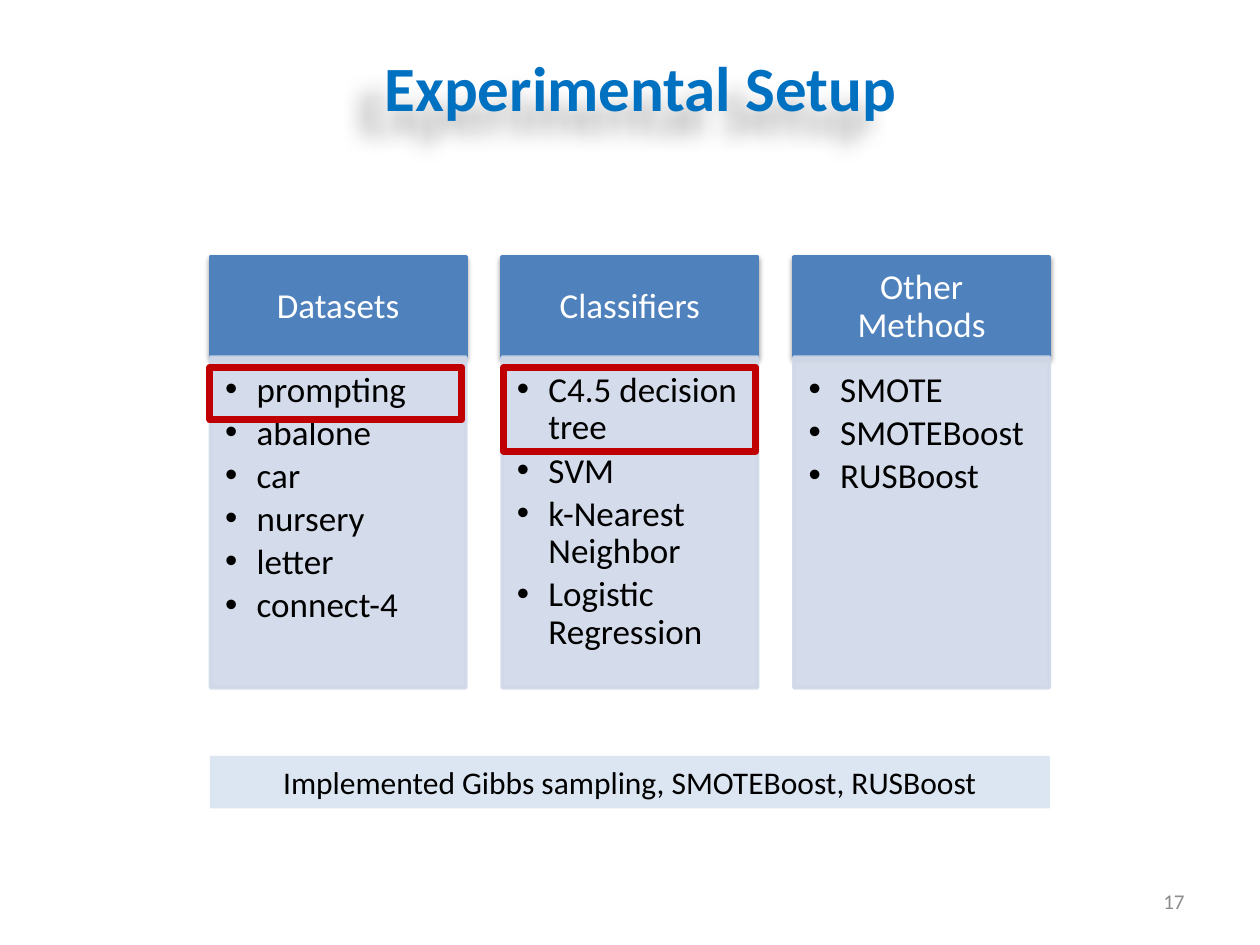
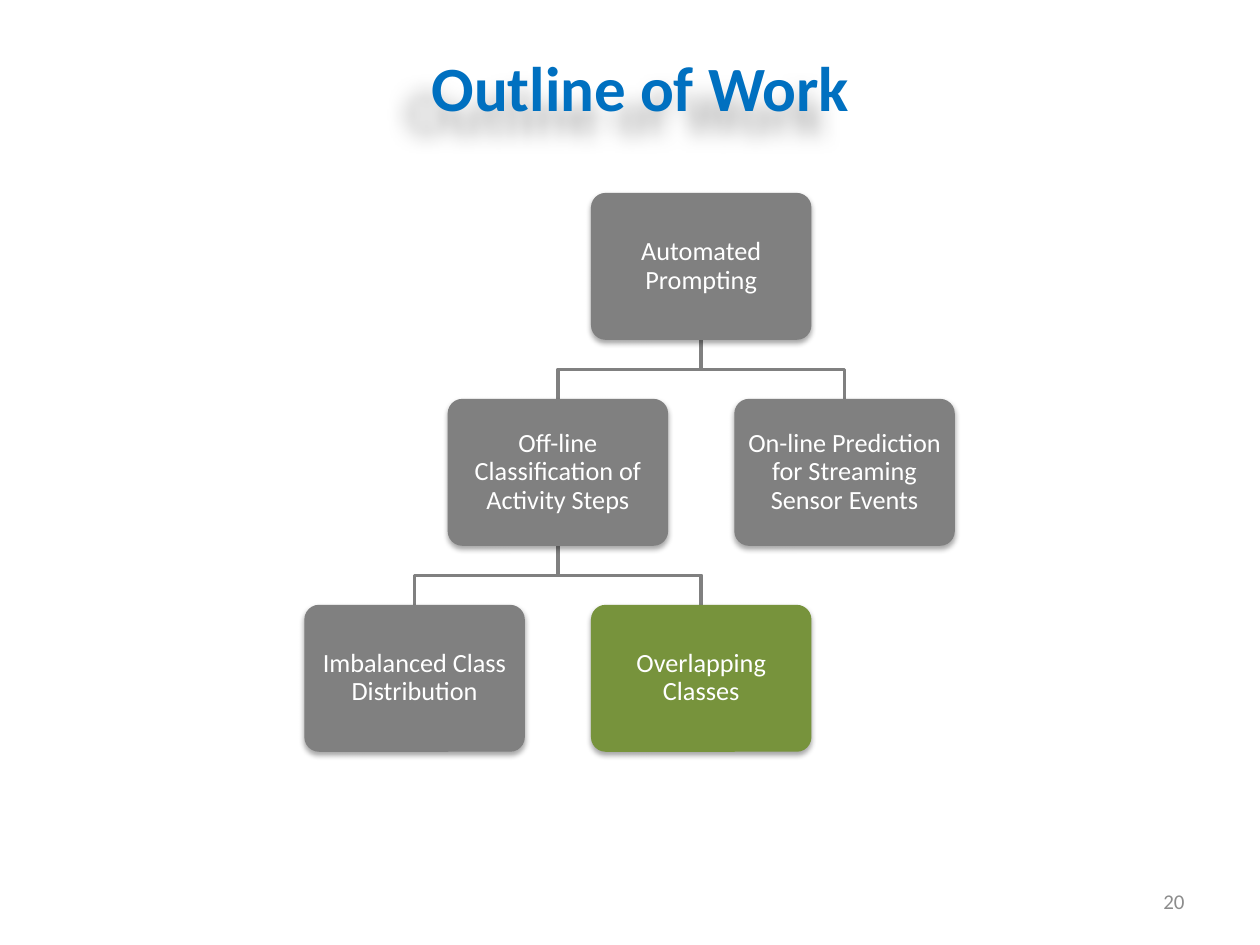
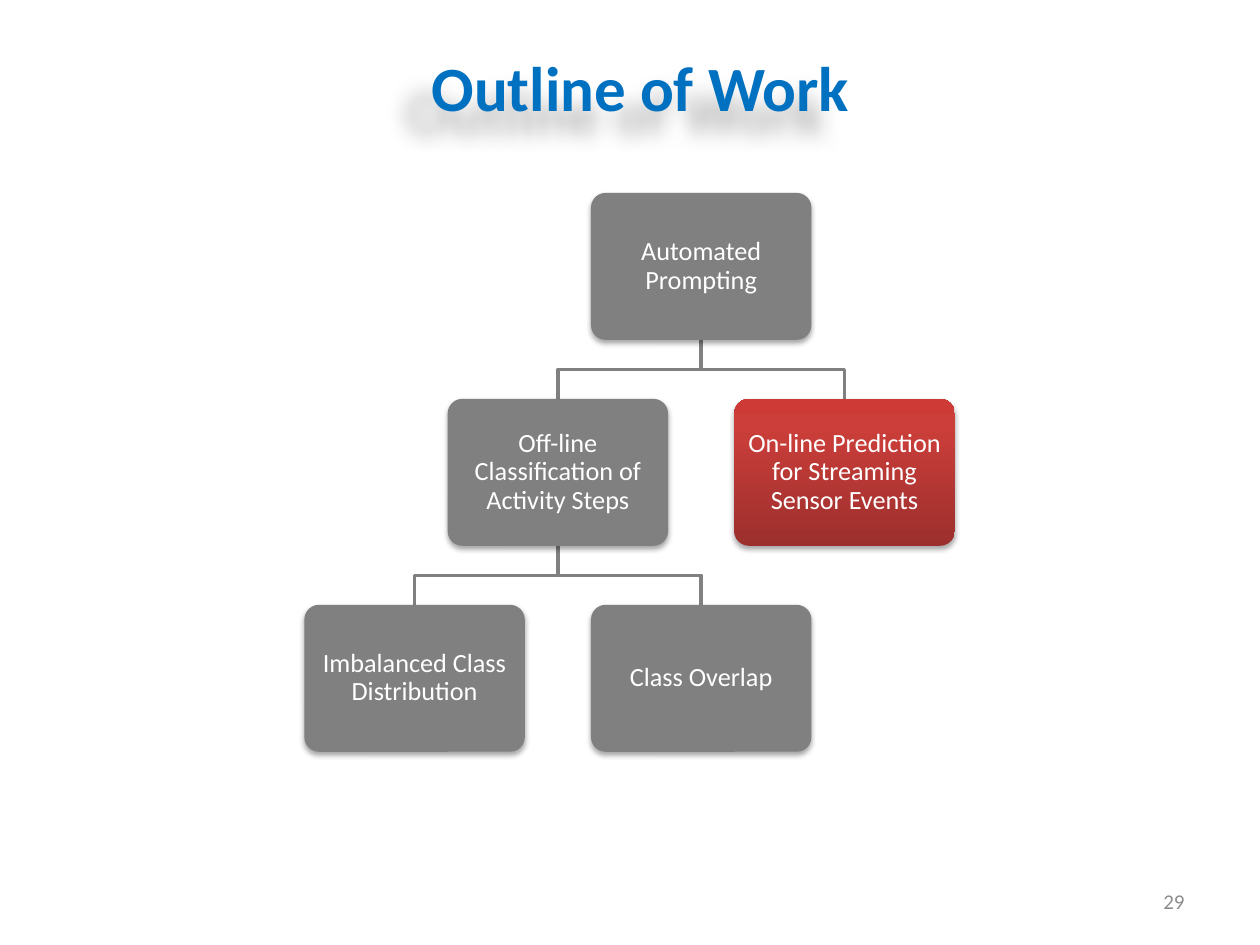
"""Build three slides on an experimental setup and an outline of work."""
import copy

import lxml.etree
import pptx
import pptx.dml.color
import pptx.enum.shapes
import pptx.enum.text
import pptx.oxml.ns
import pptx.util

Pt = pptx.util.Pt
RGB = pptx.dml.color.RGBColor
KIND = pptx.enum.shapes.MSO_SHAPE
ALIGN = pptx.enum.text.PP_ALIGN
ANCHOR = pptx.enum.text.MSO_ANCHOR
qn = pptx.oxml.ns.qn

WHITE = RGB(0xFF, 0xFF, 0xFF)
BLACK = RGB(0x00, 0x00, 0x00)
AZURE = RGB(0x00, 0x70, 0xC0)
BLUE = RGB(0x4F, 0x81, 0xBD)
PALE = RGB(0xD0, 0xD8, 0xE8)
ICE = RGB(0xDC, 0xE6, 0xF2)
RED = RGB(0xC0, 0x00, 0x00)
GRAY = RGB(0x80, 0x80, 0x80)
SILVER = RGB(0x8C, 0x8C, 0x8C)
GREEN = RGB(0x77, 0x93, 0x3C)
GLOW = [(0, RGB(0x9C, 0x2F, 0x2D)), (0.8, RGB(0xCB, 0x3E, 0x3A)), (1, RGB(0xCE, 0x3B, 0x37))]

FONT = "Calibri"
TITLE_ONLY, COMPARE = 5, 4
SIDES = ("margin_left", "margin_top", "margin_right", "margin_bottom")
PLAIN = (7.2, 3.6, 7.2, 3.6)
NODE_W, NODE_H = 126, 84
LEFT, TOP = 236.9, 110.2
STEP, DROP = 81.9, 117.7


def put(thing, values):
    for name, value in values.items():
        setattr(thing, name, value)


def place(shape, area):
    put(shape, dict(zip(("left", "top", "width", "height"), map(Pt, area))))


class Deck:
    def __init__(self):
        self.show = pptx.Presentation()
        put(self.show, {"slide_width": Pt(720), "slide_height": Pt(540)})

    def start(self, title, number, layout=TITLE_ONLY):
        self.slide = self.show.slides.add_slide(self.show.slide_layouts[layout])
        self.shapes = self.slide.shapes
        self.bodies = [b for b in self.slide.placeholders if b != self.shapes.title]
        head = self.shapes.title
        place(head, (132, 24, 468, 51))
        self.label(head, [title], 36, AZURE, anchor=ANCHOR.TOP, bold=True)
        self.shade(head, 30, 12, 20, 140)
        page = self.shapes.add_textbox(Pt(516), Pt(500.4), Pt(168), Pt(28.8))
        self.label(page, [number], 12, SILVER, align=ALIGN.RIGHT)

    def label(self, shape, lines, size, color, align=ALIGN.CENTER,
              anchor=ANCHOR.MIDDLE, inset=PLAIN, space=1.0, after=0, bold=False, dots=False):
        frame = shape.text_frame
        put(frame, {"word_wrap": True, "auto_size": pptx.enum.text.MSO_AUTO_SIZE.NONE,
                    "vertical_anchor": anchor, **dict(zip(SIDES, map(Pt, inset)))})
        frame.text = "\n".join(lines)
        for para in frame.paragraphs:
            if dots:
                self.dot(para)
            put(para, {"alignment": align, "line_spacing": space,
                       "space_before": Pt(0), "space_after": Pt(after)})
            for run in para.runs:
                put(run.font, {"name": FONT, "size": Pt(size), "bold": bold})
                run.font.color.rgb = color

    def dot(self, para):
        props = para._p.get_or_add_pPr()
        props.set("marL", str(Pt(18)))
        props.set("indent", str(-Pt(18)))
        lxml.etree.SubElement(props, qn("a:buFont"), typeface="Arial")
        lxml.etree.SubElement(props, qn("a:buChar"), char="•")

    def shade(self, shape, alpha, blur, dist, angle):
        shape.shadow.inherit = False
        effects = shape.element.spPr.find(qn("a:effectLst"))
        outer = lxml.etree.SubElement(
            effects, qn("a:outerShdw"), blurRad=str(Pt(blur)), dist=str(Pt(dist)),
            dir=str(angle * 60000), algn="ctr", rotWithShape="0")
        color = lxml.etree.SubElement(outer, qn("a:srgbClr"), val=str(BLACK))
        lxml.etree.SubElement(color, qn("a:alpha"), val=str(alpha * 1000))

    def paint(self, shape, fill=None, line=None, width=2):
        shape.shadow.inherit = False
        if fill is None:
            shape.fill.background()
        else:
            shape.fill.solid()
            shape.fill.fore_color.rgb = fill
        if line is None:
            shape.line.fill.background()
        else:
            shape.line.color.rgb = line
            shape.line.width = Pt(width)

    def box(self, area, kind=KIND.RECTANGLE, **look):
        shape = self.shapes.add_shape(kind, *map(Pt, area))
        self.paint(shape, **look)
        return shape

    def blend(self, shape, stops):
        shape.fill.gradient()
        shape.fill.gradient_angle = 90
        group = shape.element.spPr.find(".//" + qn("a:gsLst"))
        while len(group) < len(stops):
            group.append(copy.deepcopy(group[0]))
        for stop, (where, color) in zip(shape.fill.gradient_stops, stops):
            stop.position = where
            stop.color.rgb = color

    def column(self, left, head, items):
        top = self.box((left, 147, 146, 57), fill=BLUE, line=BLUE)
        self.shade(top, 38, 3.1, 1.6, 90)
        self.label(top, [head], 20, WHITE, inset=(11.5, 6.5, 11.5, 6.5), space=0.9)
        body = self.bodies.pop(0)
        self.shapes.element.append(body.element)
        place(body, (left, 204, 146, 189))
        self.paint(body, fill=PALE, line=PALE)
        for color in body.element.spPr.iter(qn("a:srgbClr")):
            lxml.etree.SubElement(color, qn("a:alpha"), val="90000")
        self.label(body, items, 20, BLACK, align=ALIGN.LEFT, anchor=ANCHOR.TOP,
                   inset=(8.5, 8.5, 11.5, 12), space=0.9, after=3, dots=True)

    def clear(self):
        for body in self.bodies:
            self.shapes.element.remove(body.element)

    def link(self, upper, lower):
        (col, row), (goal, base) = upper, lower
        start, end = LEFT + STEP * col, LEFT + STEP * goal
        high, low = TOP + DROP * row + NODE_H, TOP + DROP * base
        mid = (high + low) / 2
        pen = self.shapes.build_freeform(Pt(start), Pt(high))
        points = [(start, mid), (end, mid), (end, low)]
        pen.add_line_segments([(Pt(x), Pt(y)) for x, y in points], close=False)
        self.paint(pen.convert_to_shape(), line=GRAY)

    def node(self, spot, text, fill):
        col, row = spot
        area = (LEFT + STEP * col - NODE_W / 2, TOP + DROP * row, NODE_W, NODE_H)
        shape = self.box(area, KIND.ROUNDED_RECTANGLE, fill=GRAY)
        shape.adjustments[0] = 0.1
        if isinstance(fill, list):
            self.blend(shape, fill)
        else:
            shape.fill.fore_color.rgb = fill
        self.shade(shape, 35, 3.1, 1.8, 90)
        self.label(shape, [text], 15, WHITE, inset=(4.3,) * 4, space=0.9)

    def tree(self, overlap, hot, glow):
        root, offline, online, classes, other = (2, 0), (1, 1), (3, 1), (0, 2), (2, 2)
        for upper, lower in ((root, offline), (root, online), (offline, classes), (offline, other)):
            self.link(upper, lower)
        names = {
            root: "Automated Prompting",
            offline: "Off-line Classification of Activity Steps",
            online: "On-line Prediction for Streaming Sensor Events",
            classes: "Imbalanced Class Distribution",
            other: overlap,
        }
        for spot, text in names.items():
            self.node(spot, text, glow if spot == hot else GRAY)


def main():
    deck = Deck()
    deck.start("Experimental Setup", "17", COMPARE)
    columns = {
        "Datasets": ["prompting", "abalone", "car", "nursery", "letter", "connect-4"],
        "Classifiers": ["C4.5 decision tree", "SVM", "k-Nearest Neighbor", "Logistic Regression"],
        "Other Methods": ["SMOTE", "SMOTEBoost", "RUSBoost"],
    }
    for i, (head, items) in enumerate(columns.items()):
        deck.column(120.2 + 166.7 * i, head, items)
    deck.clear()
    for left, height in ((120, 30), (288, 48)):
        deck.box((left, 210, 144, height), line=RED, width=4)
    banner = deck.box((120, 432, 480, 30), fill=ICE)
    deck.label(banner, ["Implemented Gibbs sampling, SMOTEBoost, RUSBoost"], 18, BLACK)

    for number, overlap, hot, glow in (("20", "Overlapping Classes", (2, 2), GREEN),
                                       ("29", "Class Overlap", (3, 1), GLOW)):
        deck.start("Outline of Work", number)
        deck.tree(overlap, hot, glow)
    deck.show.save("out.pptx")


if __name__ == "__main__":
    main()
